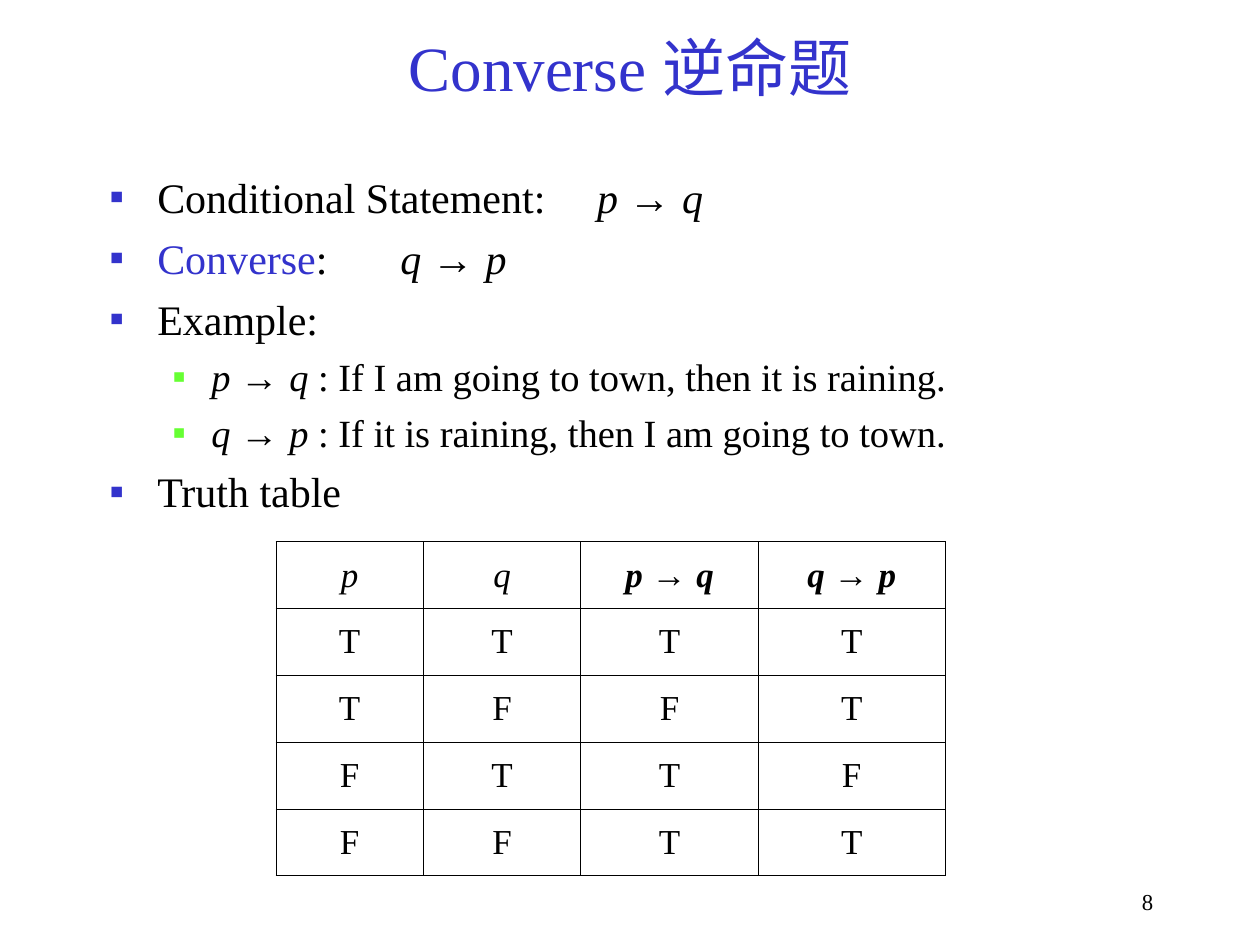
import pptx
import pptx.dml.color
import pptx.enum.text
import pptx.oxml.ns
import pptx.util
from lxml import etree

Inches = pptx.util.Inches
Pt = pptx.util.Pt
ALIGN = pptx.enum.text.PP_ALIGN
ANCHOR = pptx.enum.text.MSO_ANCHOR

COLORS = {"blue": "3333CC", "green": "66FF33", "black": "000000", "white": "FFFFFF"}
SERIF, ARROW_FONT = "Times New Roman", "Arial"


def rgb(name):
    return pptx.dml.color.RGBColor.from_string(COLORS[name])


def add_xml(parent, tag, **attributes):
    return etree.SubElement(parent, pptx.oxml.ns.qn(tag), attributes)


class SlideBuilder:
    def __init__(self, slide):
        self.slide = slide

    def fill_text(self, paragraph, text, size, color="black", align=ALIGN.LEFT, bold=None):
        """Text is a string or a list of (words, style); styles: "", i, arrow, blue."""
        paragraph.alignment = align
        paragraph.font.size = Pt(size)
        paragraph.font.bold = bold
        parts = [(text, "")] if isinstance(text, str) else text
        for words, style in parts:
            run = paragraph.add_run()
            run.text = words
            font = run.font
            font.size, font.bold = Pt(size), bold
            font.name = ARROW_FONT if style == "arrow" else SERIF
            font.italic = style == "i"
            font.color.rgb = rgb("blue" if style == "blue" else color)

    def text_box(self, left, top, width, height, anchor=ANCHOR.TOP):
        box = self.slide.shapes.add_textbox(
            Inches(left), Inches(top), Inches(width), Inches(height))
        box.text_frame.word_wrap = True
        box.text_frame.vertical_anchor = anchor
        return box.text_frame

    def label(self, place, text, size, color, align, anchor=ANCHOR.TOP):
        frame = self.text_box(*place, anchor=anchor)
        self.fill_text(frame.paragraphs[0], text, size, color, align)

    def bullets(self, place, items):
        frame = self.text_box(*place)
        for index, (level, text, tab) in enumerate(items):
            paragraph = frame.paragraphs[0] if index == 0 else frame.add_paragraph()
            size, margin, hanging, color = (
                (22, 0.81, 0.31, "green") if level else (24, 0.38, 0.38, "blue"))
            paragraph.level = level
            if index:
                paragraph.space_before = Pt(size / 4)
            properties = paragraph._p.get_or_add_pPr()
            properties.set("marL", str(Inches(margin)))
            properties.set("indent", str(-Inches(hanging)))
            bullet_color = add_xml(properties, "a:buClr")
            add_xml(bullet_color, "a:srgbClr", val=COLORS[color])
            add_xml(properties, "a:buFont", typeface=ARROW_FONT)
            add_xml(properties, "a:buChar", char="▪")
            if tab:
                stops = add_xml(properties, "a:tabLst")
                add_xml(stops, "a:tab", pos=str(Inches(tab)), algn="l")
            self.fill_text(paragraph, text, size)

    def border(self, cell):
        properties = cell._tc.get_or_add_tcPr()
        for position, side in enumerate(("a:lnL", "a:lnR", "a:lnT", "a:lnB")):
            line = etree.Element(pptx.oxml.ns.qn(side), w=str(Pt(0.45)))
            fill = add_xml(line, "a:solidFill")
            add_xml(fill, "a:srgbClr", val=COLORS["black"])
            properties.insert(position, line)

    def table(self, left, top, widths, row_height, rows):
        grid = self.slide.shapes.add_table(
            len(rows), len(widths), Inches(left), Inches(top),
            Inches(sum(widths)), Inches(row_height * len(rows))).table
        for column, width in zip(grid.columns, widths):
            column.width = Inches(width)
        for row, values in zip(grid.rows, rows):
            row.height = Inches(row_height)
            for cell, value in zip(row.cells, values):
                cell.fill.solid()
                cell.fill.fore_color.rgb = rgb("white")
                cell.vertical_anchor = ANCHOR.MIDDLE
                self.border(cell)
                self.fill_text(cell.text_frame.paragraphs[0], value, 20,
                               align=ALIGN.CENTER, bold=len(value) > 1)


def implies(first, second):
    return [(first + " ", "i"), ("→ ", "arrow"), (second, "i")]


def main():
    deck = pptx.Presentation()
    deck.slide_width, deck.slide_height = Inches(10), Inches(7.5)
    page = SlideBuilder(deck.slides.add_slide(deck.slide_layouts[6]))

    # Title
    page.label((0.75, 0.13, 8.5, 0.79), "Converse 逆命题", 36, "blue",
               ALIGN.CENTER, ANCHOR.MIDDLE)

    # Definitions and example: level, text, tab stop
    p_to_q, q_to_p = implies("p", "q"), implies("q", "p")
    page.bullets((0.77, 1.31, 8.5, 5.6), [
        (0, [("Conditional Statement:\t", "")] + p_to_q, 3.87),
        (0, [("Converse", "blue"), (":\t", "")] + q_to_p, 2.31),
        (0, "Example:", None),
        (1, p_to_q + [(" : If I am going to town, then it is raining.", "")], None),
        (1, q_to_p + [(" : If it is raining, then I am going to town.", "")], None),
        (0, "Truth table", None),
    ])

    # Truth table
    header = [[("p", "i")], [("q", "i")], p_to_q, q_to_p]
    page.table(2.19, 4.3, [1.17, 1.25, 1.41, 1.48], 0.53,
               [header, "TTTT", "TFFT", "FTTF", "FFTT"])

    # Slide number
    page.label((7.67, 7, 1.58, 0.33), "8", 13, "black", ALIGN.RIGHT)

    deck.save("out.pptx")


if __name__ == "__main__":
    main()
